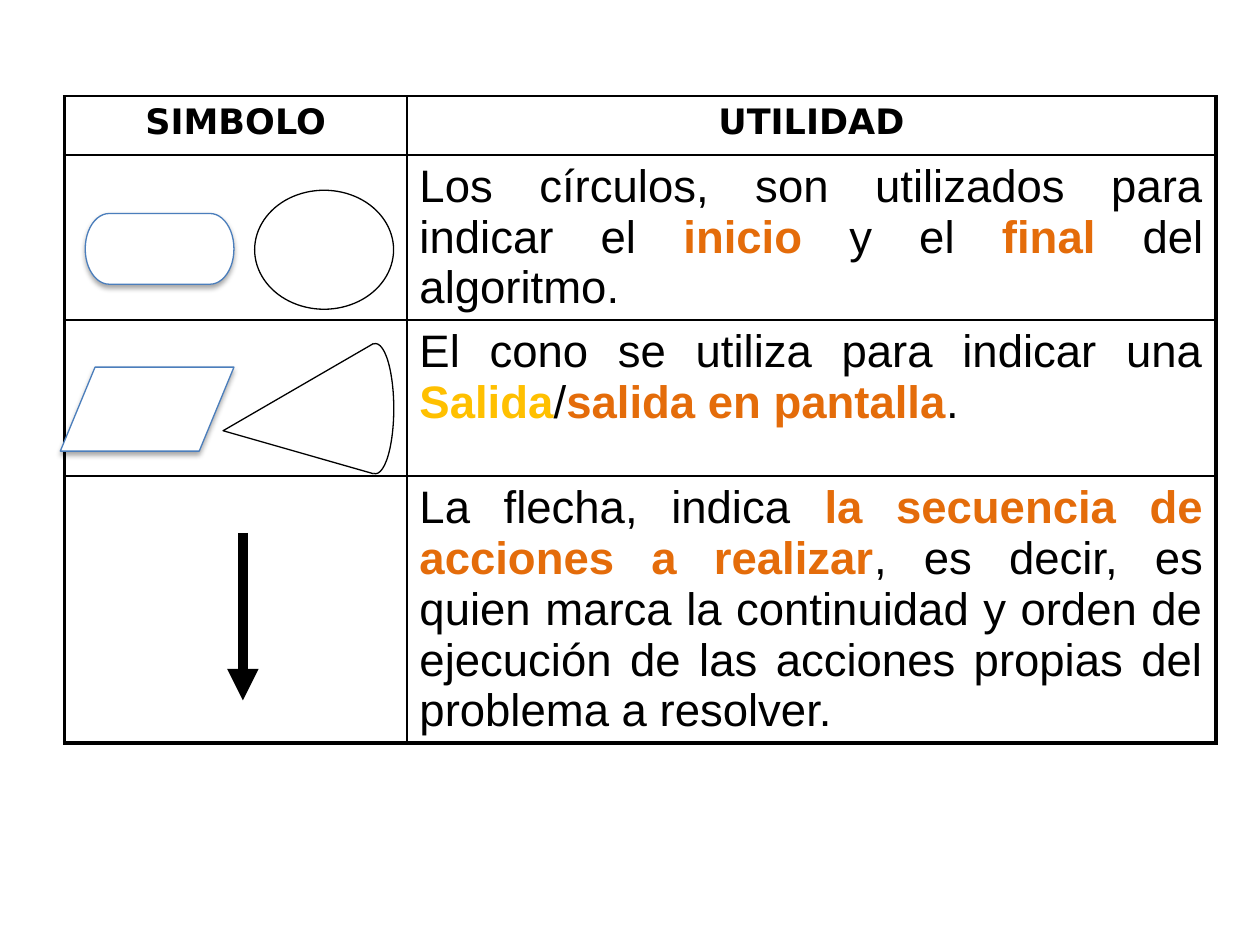
from lxml import etree
from pptx import Presentation
from pptx.dml.color import RGBColor
from pptx.enum import shapes, text
from pptx.oxml import parse_xml
from pptx.oxml.ns import nsdecls, qn
from pptx.util import Pt

COLORS = {"black": "000000", "white": "FFFFFF", "orange": "E46C0A",
          "gold": "FFC000", "blue": "4B7EBC"}
HEADERS = ["SIMBOLO", "UTILIDAD"]
# Each description is a list of (text, colour); coloured runs are bold
DESCRIPTIONS = [
    [("Los círculos, son utilizados para indicar el ", "black"), ("inicio", "orange"),
     (" y el ", "black"), ("final", "orange"), (" del algoritmo.", "black")],
    [("El cono se utiliza para indicar una ", "black"), ("Salida", "gold"),
     ("/", "black"), ("salida en pantalla", "orange"), (".", "black")],
    [("La flecha, indica ", "black"), ("la secuencia de acciones a realizar", "orange"),
     (", es decir, es quien marca la continuidad y orden de ejecución de las "
      "acciones propias del problema a resolver.", "black")],
]
COLUMN_WIDTHS = [195.6, 462.4]
ROW_HEIGHTS = [33.7, 94.3, 89.2, 152.6]


def color(name):
    return RGBColor.from_string(COLORS[name])


def set_borders(cell, widths):
    properties = cell._tc.get_or_add_tcPr()
    for position, (side, width) in enumerate(widths.items()):
        properties.insert(position, parse_xml(
            f'<a:ln{side} {nsdecls("a")} w="{int(Pt(width))}"><a:solidFill>'
            f'<a:srgbClr val="{COLORS["black"]}"/></a:solidFill></a:ln{side}>'))


def write_cell(cell, runs, alignment, font_name, size, bold=False):
    paragraph = cell.text_frame.paragraphs[0]
    paragraph.alignment = alignment
    paragraph.font.name, paragraph.font.size = font_name, Pt(size)
    for words, color_name in runs:
        run = paragraph.add_run()
        run.text = words
        run.font.bold = bold or color_name != "black"
        run.font.color.rgb = color(color_name)


def add_symbol_table(slide, left, top):
    rows, columns = len(ROW_HEIGHTS), len(COLUMN_WIDTHS)
    table = slide.shapes.add_table(rows, columns, Pt(left), Pt(top),
                                   Pt(sum(COLUMN_WIDTHS)), Pt(sum(ROW_HEIGHTS))).table
    table.first_row = table.horz_banding = False
    for column, width in zip(table.columns, COLUMN_WIDTHS):
        column.width = Pt(width)
    for row, height in zip(table.rows, ROW_HEIGHTS):
        row.height = Pt(height)

    # Thin inner lines, thick frame on the left, right and bottom
    for r in range(rows):
        for c in range(columns):
            cell = table.cell(r, c)
            cell.fill.background()
            set_borders(cell, {"L": 2.25 if c == 0 else 1,
                               "R": 2.25 if c == columns - 1 else 1,
                               "T": 1, "B": 2.25 if r == rows - 1 else 1})

    for c, header in enumerate(HEADERS):
        write_cell(table.cell(0, c), [(header, "black")], text.PP_ALIGN.CENTER,
                   "DejaVu Sans", 20, bold=True)
    for r, runs in enumerate(DESCRIPTIONS, start=1):
        write_cell(table.cell(r, 1), runs, text.PP_ALIGN.JUSTIFY, "Arial", 26)


def style_outline(shape, line_color):
    shape.shadow.inherit = False
    shape.fill.solid()
    shape.fill.fore_color.rgb = color("white")
    shape.line.color.rgb = color(line_color)
    shape.line.width = Pt(0.75)


def add_symbol(parent, kind, left, top, width, height, line_color="black"):
    shape = parent.shapes.add_shape(kind, Pt(left), Pt(top), Pt(width), Pt(height))
    style_outline(shape, line_color)
    return shape


def add_flowchart_symbol(slide, kind, left, top, width, height):
    shape = add_symbol(slide, kind, left, top, width, height, "blue")
    effects = shape._element.spPr.find(qn("a:effectLst"))
    effects.append(parse_xml(
        f'<a:outerShdw {nsdecls("a")} blurRad="{int(Pt(3.1))}" dist="{int(Pt(1.8))}" '
        f'dir="5400000" rotWithShape="0"><a:srgbClr val="{COLORS["black"]}">'
        '<a:alpha val="35000"/></a:srgbClr></a:outerShdw>'))


def add_cone(slide, left, top, width, height):
    group = slide.shapes.add_group_shape()
    cap = 21
    add_symbol(group, shapes.MSO_SHAPE.OVAL, left + width - cap, top, cap, height)
    # The open wedge covers the left half of the cap
    edge = left + width - cap / 2 - 1
    builder = group.shapes.build_freeform(Pt(edge), Pt(top))
    builder.add_line_segments([(Pt(left), Pt(top + height * 0.67)),
                               (Pt(edge), Pt(top + height))], close=False)
    style_outline(builder.convert_to_shape(), "black")


def add_down_arrow(slide, x, top, height):
    arrow = slide.shapes.add_connector(shapes.MSO_CONNECTOR.STRAIGHT,
                                       Pt(x), Pt(top), Pt(x), Pt(top + height))
    arrow.line.color.rgb = color("black")
    arrow.line.width = Pt(6)
    etree.SubElement(arrow.line._get_or_add_ln(), qn("a:tailEnd"), type="triangle")
    etree.SubElement(arrow._element.spPr, qn("a:effectLst"))


def main():
    presentation = Presentation()
    presentation.slide_width, presentation.slide_height = Pt(720), Pt(540)
    slide = presentation.slides.add_slide(presentation.slide_layouts[6])

    add_symbol_table(slide, 36.9, 54.8)
    # Symbols in the left column
    add_symbol(slide, shapes.MSO_SHAPE.OVAL, 145.5, 108.7, 79.4, 68)
    add_cone(slide, 127.5, 196.3, 97.5, 74.4)
    add_down_arrow(slide, 138.8, 304.5, 95.8)
    add_flowchart_symbol(slide, shapes.MSO_SHAPE.FLOWCHART_TERMINATOR,
                         48.7, 122, 85, 40.4)
    add_flowchart_symbol(slide, shapes.MSO_SHAPE.FLOWCHART_DATA,
                         34.5, 209.8, 99.2, 48)
    presentation.save("out.pptx")


if __name__ == "__main__":
    main()
